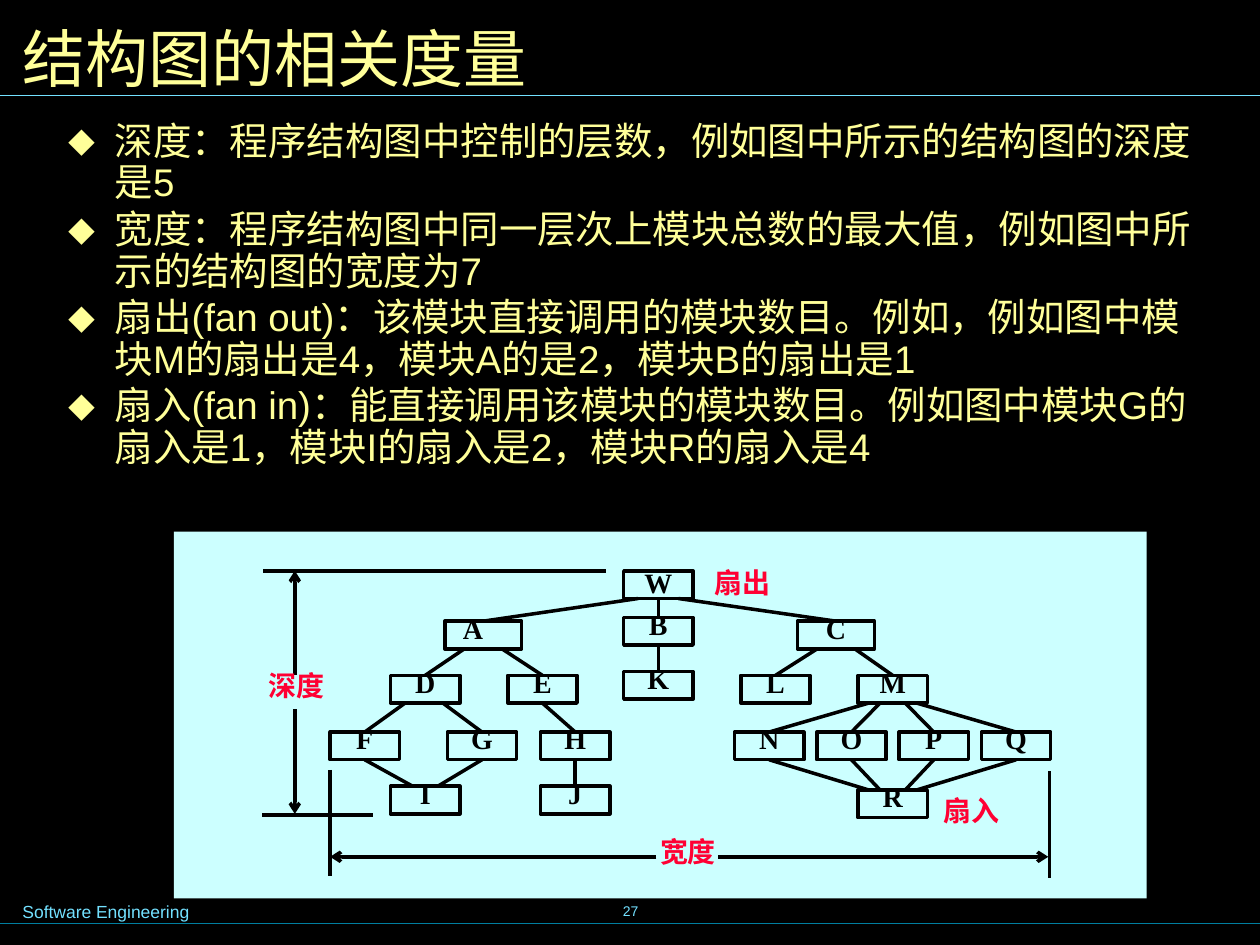
import pptx
import pptx.dml.color
import pptx.enum.shapes
import pptx.enum.text
import pptx.oxml.ns
import pptx.util
from lxml import etree

COLOURS = {"black": "000000", "yellow": "FFFF99", "sky": "73E1FF",
           "teal": "007E9F", "panel": "CCFFFF", "red": "FF0033"}
ALIGN = pptx.enum.text.PP_ALIGN
ANCHOR = pptx.enum.text.MSO_ANCHOR
RECTANGLE = pptx.enum.shapes.MSO_SHAPE.RECTANGLE
STRAIGHT = pptx.enum.shapes.MSO_CONNECTOR.STRAIGHT
qn = pptx.oxml.ns.qn
rgb = {name: pptx.dml.color.RGBColor.from_string(code) for name, code in COLOURS.items()}

deck = pptx.Presentation()
deck.slide_width, deck.slide_height = pptx.util.Inches(10), pptx.util.Inches(7.5)
cell = deck.slide_width / 100  # the slide is 100 columns by 75 rows
page = deck.slides.add_slide(deck.slide_layouts[1])
page.background.fill.solid()
page.background.fill.fore_color.rgb = rgb["black"]


def write(box, place, lines, size, font, colour, bold=False, align=ALIGN.LEFT,
          anchor=ANCHOR.TOP, spacing=1.0, inset=1):
    """Place a box at (left, top, width, height) in cells and fill in its paragraphs."""
    box.left, box.top, box.width, box.height = [round(n * cell) for n in place]
    frame = box.text_frame
    frame.word_wrap = True
    frame.auto_size = pptx.enum.text.MSO_AUTO_SIZE.NONE
    frame.vertical_anchor = anchor
    frame.margin_left = frame.margin_right = round(inset * cell)
    frame.margin_top = frame.margin_bottom = round(inset * cell / 2)
    for number, line in enumerate(lines):
        para = frame.add_paragraph() if number else frame.paragraphs[0]
        para.alignment = align
        para.line_spacing = spacing
        para.space_before = pptx.util.Pt(0)
        span = para.add_run()
        span.text = line
        span.font.size = pptx.util.Pt(size)
        span.font.name = font
        span.font.bold = bold
        span.font.color.rgb = rgb[colour]


def draw_line(x1, y1, x2, y2, colour="black", width=2, arrow=False):
    """Draw a line between two grid points, with an optional arrowhead at its end."""
    line = page.shapes.add_connector(STRAIGHT, *[round(n * cell) for n in (x1, y1, x2, y2)])
    line.line.color.rgb = rgb[colour]
    line.line.width = pptx.util.Pt(width)
    properties = line._element.spPr
    if arrow:
        etree.SubElement(properties.find(qn("a:ln")), qn("a:tailEnd"), type="arrow")
    etree.SubElement(properties, qn("a:effectLst"))
    return line


# Page frame
draw_line(0, 73.3, 100, 73.3, "teal", 0.75)
draw_line(0, 7.6, 100, 7.6, "sky", 0.75)
write(page.shapes.add_textbox(0, 0, 0, 0), (34.2, 69.8, 31.7, 5), ["27"], 8, "Arial", "sky",
      align=ALIGN.CENTER, anchor=ANCHOR.MIDDLE)
write(page.shapes.add_textbox(0, 0, 0, 0), (0.8, 71, 29.5, 2.7), ["Software Engineering"],
      10, "Arial", "sky")

# Title and definitions
write(page.shapes.title, (0.8, 0.8, 98.4, 7.5), ["结构图的相关度量"], 36, "Arial Narrow", "yellow",
      anchor=ANCHOR.MIDDLE)
definitions = [
    "深度：程序结构图中控制的层数，例如图中所示的结构图的深度是5",
    "宽度：程序结构图中同一层次上模块总数的最大值，例如图中所示的结构图的宽度为7",
    "扇出(fan out)：该模块直接调用的模块数目。例如，例如图中模块M的扇出是4，模块A的是2，模块B的扇出是1",
    "扇入(fan in)：能直接调用该模块的模块数目。例如图中模块G的扇入是1，模块I的扇入是2，模块R的扇入是4",
]
body = page.placeholders[1]
write(body, (4.2, 9.1, 92.9, 31.1), definitions, 22, "Arial", "yellow", spacing=0.9, inset=1.2)
for number, para in enumerate(body.text_frame.paragraphs):
    if number:
        para.space_before = pptx.util.Pt(2.8)
    settings = para._p.get_or_add_pPr()
    settings.set("marL", str(round(3.7 * cell)))
    settings.set("indent", str(round(-3.7 * cell)))
    bullet_colour = etree.SubElement(settings, qn("a:buClr"))
    etree.SubElement(bullet_colour, qn("a:srgbClr"), val=COLOURS["yellow"])
    etree.SubElement(settings, qn("a:buChar"), char="⬥")

# Diagram panel
panel = page.shapes.add_shape(RECTANGLE, *[round(n * cell) for n in (13.8, 42.2, 77.2, 29.1)])
panel.shadow.inherit = False
panel.fill.solid()
panel.fill.fore_color.rgb = rgb["panel"]
panel.line.fill.background()

# Modules: row top -> module -> left edge
BOX_HEIGHT = 2.2
module_rows = {
    45.3: {"W": 49.5},
    49: {"B": 49.5},
    49.3: {"A": 35.3, "C": 63.3},
    53.3: {"K": 49.5},
    53.6: {"D": 31, "E": 40.3, "L": 58.8, "M": 68.1},
    58.1: {"F": 26.2, "G": 35.5, "H": 42.9,
           **{name: 58.3 + 6.53 * step for step, name in enumerate("NOPQ")}},
    62.4: {"I": 31, "J": 42.9},
    62.7: {"R": 68.1},
}
modules, centres = {}, {}
for top, row in module_rows.items():
    for name, left in row.items():
        width = 6.1 if name in "AC" else 5.5
        module = page.shapes.add_shape(
            RECTANGLE, *[round(n * cell) for n in (left, top, width, BOX_HEIGHT)])
        module.shadow.inherit = False
        module.fill.background()
        module.line.color.rgb = rgb["black"]
        module.line.width = pptx.util.Pt(2)
        modules[name], centres[name] = module, (left + width / 2, top)
        rise = 0.2 if name == "W" else 0.6
        write(page.shapes.add_textbox(0, 0, 0, 0), (left + 0.45, top - rise, width - 0.9, 3.4),
              [name], 16, "Times New Roman", "black", bold=True, spacing=0.72,
              align=ALIGN.LEFT if name == "A" else ALIGN.CENTER)

# Calls: upper module, lower module, sideways shift of each end from the box centre
calls = [("W", "A", -1.6, 0), ("W", "B", 0, 0), ("W", "C", 1.6, 0), ("B", "K", 0, 0),
         ("A", "D", -1.5, 0), ("A", "E", 1.5, 0), ("C", "L", -1.5, 0), ("C", "M", 1.5, 0),
         ("D", "F", -1.6, 0), ("D", "G", 1.4, 0), ("E", "H", 0, 0), ("H", "J", 0, 0),
         ("F", "I", 0, -1), ("G", "I", 0, 1)]
for name, shift in zip("NOPQ", (-1.9, -1, 1, 1.9)):
    calls += [("M", name, shift, 0), (name, "R", 0, shift)]
for upper, lower, upper_shift, lower_shift in calls:
    (x1, y1), (x2, y2) = centres[upper], centres[lower]
    call = draw_line(x1 + upper_shift, y1 + BOX_HEIGHT, x2 + lower_shift, y2)
    if not upper_shift:
        call.begin_connect(modules[upper], 2)
    if not lower_shift:
        call.end_connect(modules[lower], 0)

# Depth and width measures
for ends in [(20.9, 45.3, 48.1, 45.3), (20.8, 64.7, 29.6, 64.7),
             (26.2, 61.1, 26.2, 69.5), (83.3, 61.2, 83.3, 69.7)]:
    draw_line(*ends)
for ends in [(23.4, 53.6, 23.4, 45.3), (23.4, 56.3, 23.4, 64.6),
             (52.1, 68, 26.2, 68), (57, 68, 83.2, 68)]:
    draw_line(*ends, arrow=True)
for label, left, top in [("深度", 20.3, 52.6), ("宽度", 51.4, 65.7),
                         ("扇入", 73.9, 62.5), ("扇出", 55.7, 44.4)]:
    write(page.shapes.add_textbox(0, 0, 0, 0), (left, top, 7.6, 4.9), [label], 16,
          "Times New Roman", "red", bold=True)

deck.save("out.pptx")
